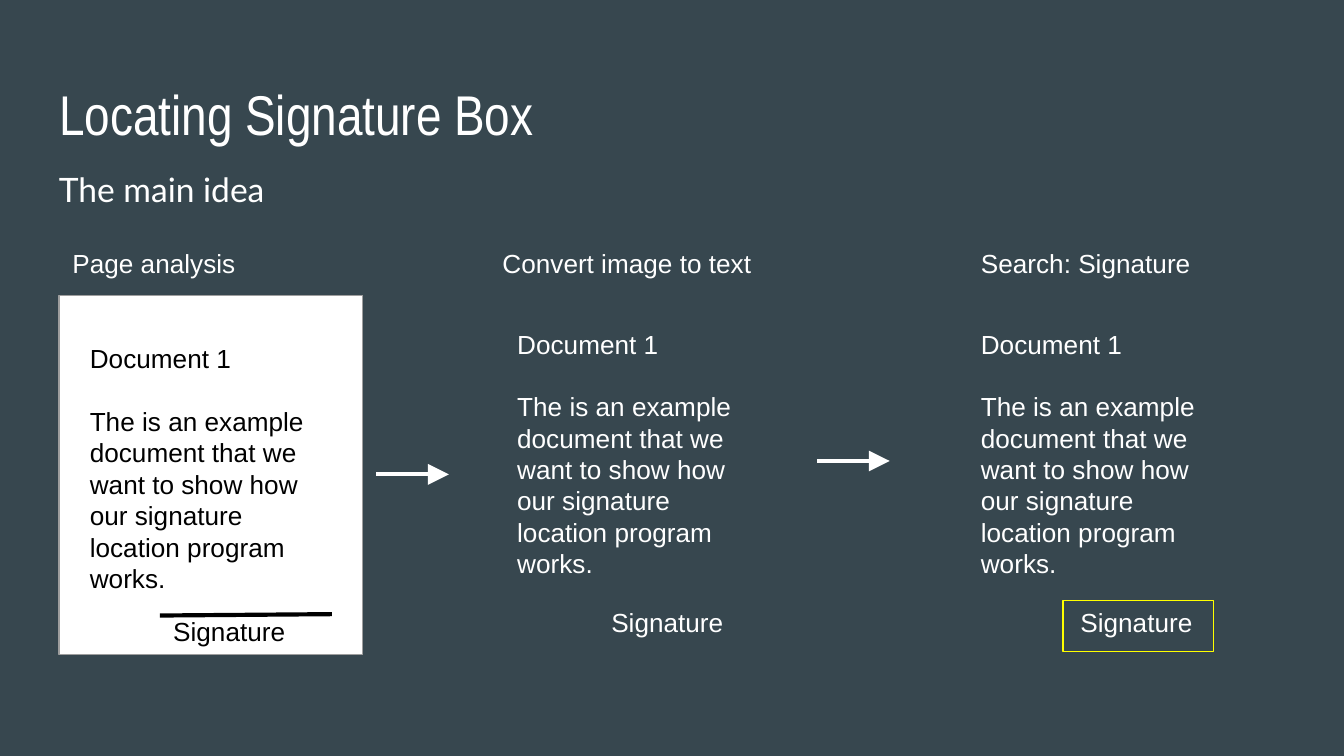
import pptx
import pptx.util
import pptx.dml.color
import pptx.enum.shapes
import pptx.enum.text
import pptx.oxml
import pptx.oxml.ns

Inches = pptx.util.Inches
Pt = pptx.util.Pt
RGBColor = pptx.dml.color.RGBColor
Shape = pptx.enum.shapes.MSO_SHAPE
Align = pptx.enum.text.PP_ALIGN

SLATE = RGBColor(0x37, 0x47, 0x4F)
WHITE = RGBColor(0xFF, 0xFF, 0xFF)
BLACK = RGBColor(0, 0, 0)
GRAY = RGBColor(0x9E, 0x9E, 0x9E)
YELLOW = RGBColor(0xFF, 0xFF, 0)

SAMPLE = [
    "Document 1",
    "The is an example document that we want to show how our signature "
    "location program works.",
]


def place(shape, box):
    shape.left, shape.top, shape.width, shape.height = map(Inches, box)


def write(frame, lines, size=14, font="Arial", color=WHITE, gap=0, pitch=None):
    """Fill a text frame; gap is the space in points between paragraphs."""
    frame.word_wrap = True
    frame.auto_size = pptx.enum.text.MSO_AUTO_SIZE.NONE
    frame.vertical_anchor = pptx.enum.text.MSO_ANCHOR.TOP
    frame.margin_left = frame.margin_right = Inches(0.1)
    frame.margin_top = frame.margin_bottom = Inches(0.1)
    for i, line in enumerate(lines):
        para = frame.add_paragraph() if i else frame.paragraphs[0]
        para.alignment = Align.LEFT
        para.space_before = Pt(gap if i else 0)
        if pitch:
            para.line_spacing = pitch
        run = para.add_run()
        run.text = line
        run.font.size = Pt(size)
        run.font.name = font
        run.font.color.rgb = color


def add_text(slide, box, *lines, **style):
    label = slide.shapes.add_textbox(*map(Inches, box))
    write(label.text_frame, lines, **style)


def add_rect(slide, box, edge, fill=None):
    rect = slide.shapes.add_shape(Shape.RECTANGLE, *map(Inches, box))
    rect.shadow.inherit = False
    if fill is None:
        rect.fill.background()
    else:
        rect.fill.solid()
        rect.fill.fore_color.rgb = fill
    rect.line.color.rgb = edge
    rect.line.width = Pt(0.75)


def add_line(slide, start, end, color, arrow=False):
    line = slide.shapes.add_connector(
        pptx.enum.shapes.MSO_CONNECTOR.STRAIGHT, *map(Inches, start + end))
    line.line.color.rgb = color
    line.line.width = Pt(2.25)
    props = line._element.spPr
    space = pptx.oxml.ns.nsdecls("a")
    if arrow:
        tip = pptx.oxml.parse_xml(
            f'<a:tailEnd {space} type="triangle" w="lg" len="lg"/>')
        props.find(pptx.oxml.ns.qn("a:ln")).append(tip)
    props.append(pptx.oxml.parse_xml(f'<a:effectLst {space}/>'))


def add_head(slide, box):
    """Title with the subtitle below it."""
    left, top, width, height = box
    title = slide.shapes.title
    place(title, (left, top, width, 0.63))
    write(title.text_frame, ["Locating Signature Box"], size=30,
          font="Arial Narrow")
    add_text(slide, (left, top + 0.62, width, height - 0.62), "The main idea",
             size=18, font="Lato", pitch=1.15)


def add_page(slide, box):
    """Scanned page on white paper, with a line to sign on."""
    left, top, width, height = box
    add_text(slide, (left, top, 1.42, 0.38), "Page analysis")
    add_rect(slide, (left, top + 0.46, width, height - 0.46), GRAY, WHITE)
    add_text(slide, (left + 0.13, top + 0.71, 1.96, 1.97), *SAMPLE,
             color=BLACK, gap=16.8)
    add_line(slide, (left + 0.75, top + 2.84), (left + 2.03, top + 2.83), BLACK)
    add_text(slide, (left + 0.75, top + 2.74, 1.09, 0.38), "Signature",
             color=BLACK)


def add_step(slide, box, head, inset, sign, mark=False):
    """Plain text of the page; mark frames the signature found in it."""
    left, top, width, height = box
    add_text(slide, (left, top, width, 0.73), head)
    add_text(slide, (left + inset, top + 0.6, 1.96, 1.97), *SAMPLE, gap=16.8)
    low = top + height - 0.44
    add_text(slide, (left + sign, low, 1.09, 0.38), "Signature")
    if mark:
        add_rect(slide, (left + sign - 0.03, low + 0.06, 1.12, 0.38), YELLOW)


def main():
    deck = pptx.Presentation()
    deck.slide_width = Inches(10)
    deck.slide_height = deck.slide_width * 9 // 16
    slide = deck.slides.add_slide(deck.slide_layouts[5])
    slide.background.fill.solid()
    slide.background.fill.fore_color.rgb = SLATE

    add_head(slide, (0.34, 0.49, 9.32, 4.36))

    # Three stages, left to right
    top = 1.74
    add_page(slide, (0.44, top, 2.26, 3.13))
    add_step(slide, (3.64, top, 2.06, 3.11), "Convert image to text", 0.11, 0.81)
    add_step(slide, (7.2, top, 1.83, 3.11), "Search: Signature", 0, 0.74,
             mark=True)

    # Arrows between the stages
    for left, level in ((2.8, 3.53), (6.08, 3.43)):
        add_line(slide, (left, level), (left + 0.54, level), WHITE, arrow=True)

    deck.save("out.pptx")


if __name__ == "__main__":
    main()
